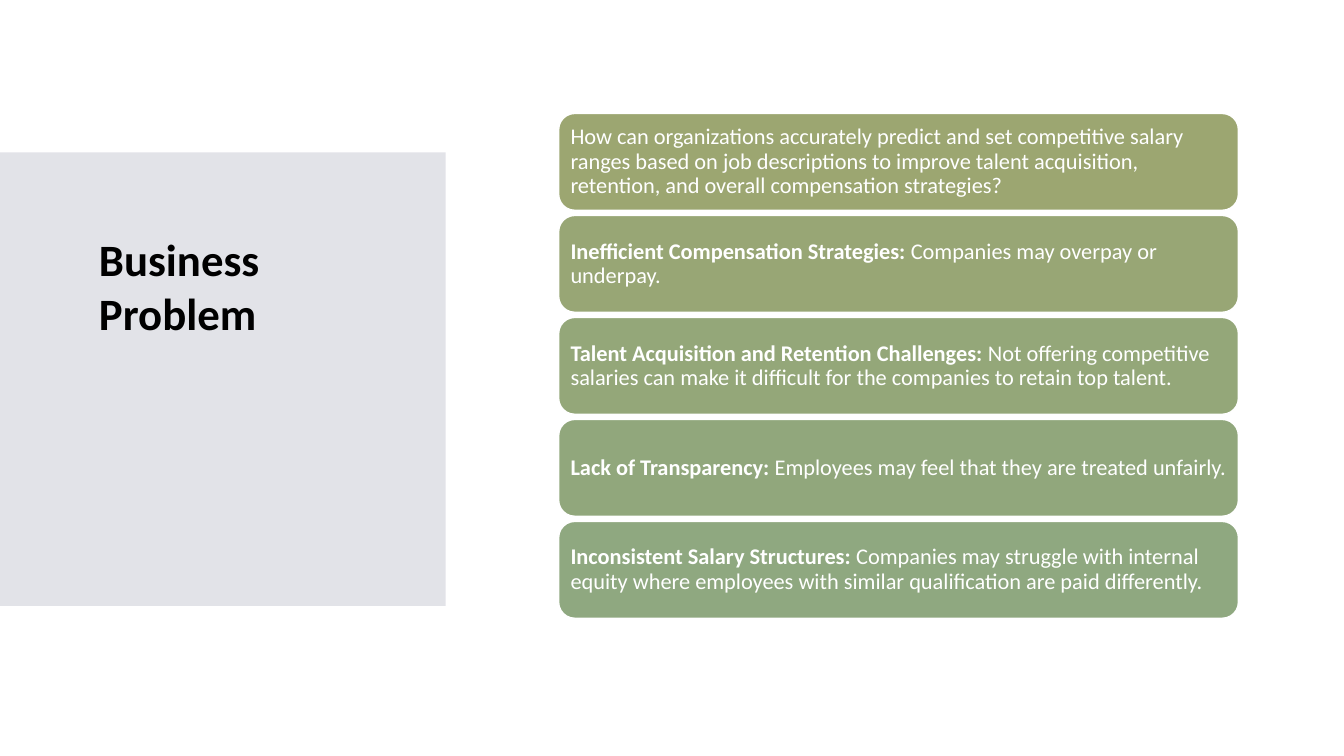
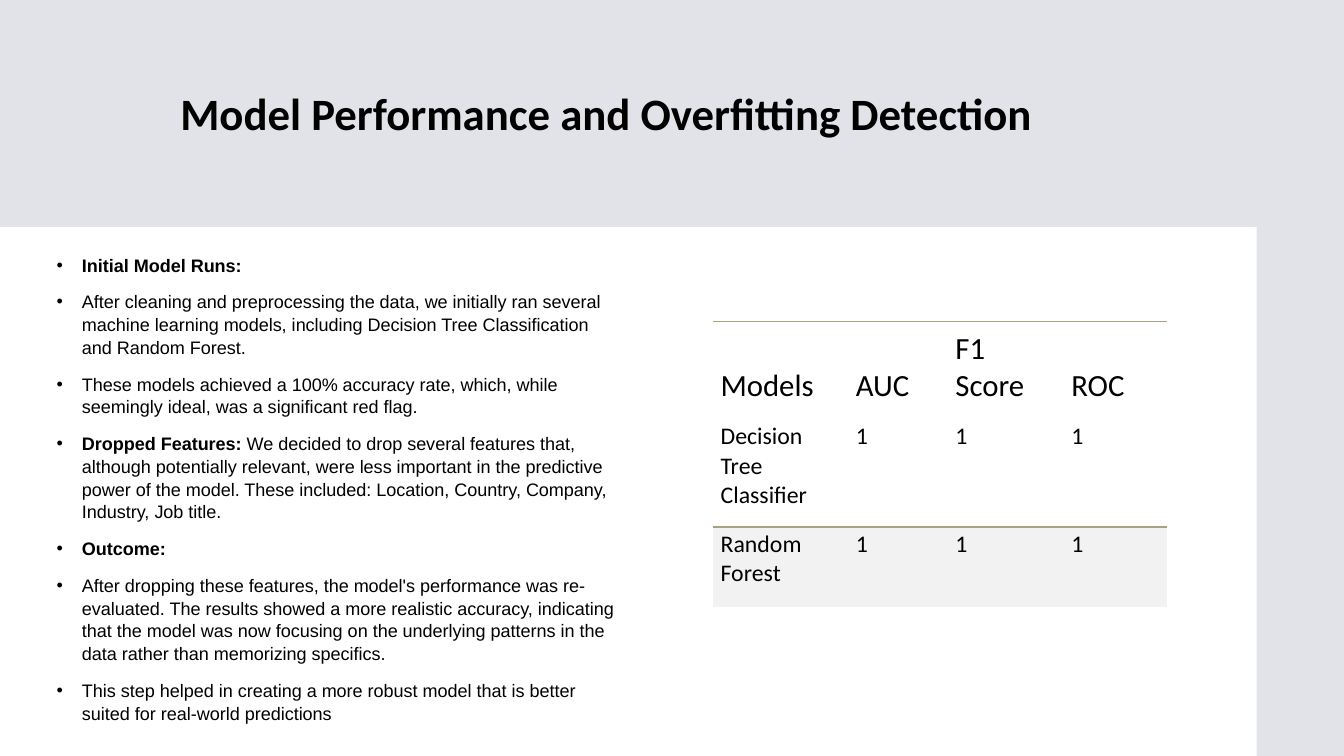
from lxml.etree import SubElement
from pptx import Presentation
from pptx.dml.color import RGBColor
from pptx.enum.shapes import MSO_SHAPE as Shape
from pptx.enum.text import MSO_ANCHOR as Anchor, MSO_AUTO_SIZE as AutoSize, PP_ALIGN as Align
from pptx.oxml.ns import qn
from pptx.util import Cm, Pt

BLACK, WHITE, BAND = "000000", "FFFFFF", "E2E3E8"
RULE, SHADE = "AAA180", "F2F2F2"
HEADING_FONT, BODY_FONT = "Calibri", "Arial"
SLIDE_WIDTH, SLIDE_HEIGHT = 33.87, 19.05
NO_TABLE_STYLE = "{2D5ABB26-0587-4C30-8999-92F81FD0307C}"

PROBLEMS = [
    ("9CA671", "", "How can organizations accurately predict and set competitive salary ranges "
     "based on job descriptions to improve talent acquisition, retention, and overall "
     "compensation strategies?"),
    ("98A675", "Inefficient Compensation Strategies:", " Companies may overpay or underpay."),
    ("94A779", "Talent Acquisition and Retention Challenges:",
     " Not offering competitive salaries can make it difficult for the companies to retain "
     "top talent."),
    ("91A77C", "Lack of Transparency: ", "Employees may feel that they are treated unfairly."),
    ("8FA880", "Inconsistent Salary Structures: ",
     "Companies may struggle with internal equity where employees with similar qualification "
     "are paid differently."),
]

FINDINGS = [
    ("Initial Model Runs:", ""),
    ("", "After cleaning and preprocessing the data, we initially ran several machine learning "
     "models, including Decision Tree Classification and Random Forest."),
    ("", "These models achieved a 100% accuracy rate, which, while seemingly ideal, was a "
     "significant red flag."),
    ("Dropped Features:", " We decided to drop several features that, although potentially "
     "relevant, were less important in the predictive power of the model. These included: "
     "Location, Country, Company, Industry, Job title."),
    ("Outcome:", ""),
    ("", "After dropping these features, the model's performance was re-evaluated. The results "
     "showed a more realistic accuracy, indicating that the model was now focusing on the "
     "underlying patterns in the data rather than memorizing specifics."),
    ("", "This step helped in creating a more robust model that is better suited for "
     "real-world predictions"),
]

SCORES = [
    ["Models", "AUC", "F1 Score", "ROC"],
    ["Decision Tree Classifier", "1", "1", "1"],
    ["Random Forest", "1", "1", "1"],
    ["", "", "", ""],
]
COLUMN_WIDTHS = [3.41, 2.51, 2.92, 2.58]
ROW_HEIGHTS = [2.46, 2.72, 2.01, 1.37]


def rgb(value):
    """Return the colour for a hex string."""
    return RGBColor.from_string(value)


def place(shape, left, top, width, height):
    """Move and size a shape, in centimetres."""
    shape.left, shape.top = Cm(left), Cm(top)
    shape.width, shape.height = Cm(width), Cm(height)


def style_font(font, name, size, color, bold=False):
    """Set the face, size, colour and weight of a font."""
    font.name, font.size, font.bold = name, Pt(size), bold
    font.color.rgb = rgb(color)


def write_lead(paragraph, lead, text, name, size, color):
    """Write a bold lead followed by regular text."""
    for content, bold in ((lead, True), (text, False)):
        if content:
            run = paragraph.add_run()
            run.text = content
            style_font(run.font, name, size, color, bold)


def set_title(slide, text, box, anchor):
    """Fill and format the title placeholder."""
    title = slide.shapes.title
    place(title, *box)
    frame = title.text_frame
    frame.text = text
    frame.auto_size, frame.vertical_anchor = AutoSize.NONE, anchor
    frame.paragraphs[0].alignment = Align.LEFT
    style_font(frame.paragraphs[0].runs[0].font, HEADING_FONT, 32, BLACK, True)


def add_filled(slide, kind, box, color):
    """Add a plain filled shape without outline or shadow."""
    shape = slide.shapes.add_shape(kind, *map(Cm, box))
    shape.shadow.inherit = False
    shape.fill.solid()
    shape.fill.fore_color.rgb = rgb(color)
    shape.line.fill.background()
    return shape


def add_band(slide, box, color):
    """Add a rectangle behind the placeholders."""
    band = add_filled(slide, Shape.RECTANGLE, box, color)
    slide.shapes.title.element.addprevious(band.element)


def add_card(slide, box, color, lead, text):
    """Add a rounded card with left-aligned white text."""
    card = add_filled(slide, Shape.ROUNDED_RECTANGLE, box, color)
    card.line.color.rgb, card.line.width = rgb(WHITE), Pt(1)
    frame = card.text_frame
    frame.word_wrap, frame.vertical_anchor = True, Anchor.MIDDLE
    frame.margin_left = frame.margin_top = frame.margin_bottom = Cm(0.18)
    frame.margin_right = Cm(0.1)
    paragraph = frame.paragraphs[0]
    paragraph.alignment, paragraph.line_spacing = Align.LEFT, 0.9
    write_lead(paragraph, lead, text, HEADING_FONT, 16, WHITE)


def fill_bullets(body, items, box):
    """Fill the body placeholder with bulleted paragraphs."""
    place(body, *box)
    frame = body.text_frame
    frame.auto_size = AutoSize.NONE
    for index, (lead, text) in enumerate(items):
        paragraph = frame.add_paragraph() if index else frame.paragraphs[0]
        paragraph.space_before, paragraph.line_spacing = Pt(10), 1.05
        properties = paragraph._p.get_or_add_pPr()
        properties.set("marL", str(Cm(0.64)))
        properties.set("indent", str(-Cm(0.64)))
        SubElement(properties, qn("a:buChar"), char="•")
        write_lead(paragraph, lead, text, BODY_FONT, 12.9, BLACK)


def add_border(cell, side, color):
    """Draw a one-point rule on one side of a cell."""
    properties = cell._tc.get_or_add_tcPr()
    line = SubElement(properties, qn(f"a:{side}"), w=str(Pt(1)))
    SubElement(SubElement(line, qn("a:solidFill")), qn("a:srgbClr"), val=color)
    properties.insert(0, line)


def fill_cell(cell, text, size, anchor, shade):
    """Write and format one table cell."""
    cell.margin_left = cell.margin_right = Cm(0.18)
    cell.margin_top, cell.margin_bottom = Cm(0.08), Cm(0.36)
    cell.vertical_anchor = anchor
    if shade:
        cell.fill.solid()
        cell.fill.fore_color.rgb = rgb(shade)
    else:
        cell.fill.background()
    cell.text_frame.text = text
    style_font(cell.text_frame.paragraphs[0].font, HEADING_FONT, size, BLACK)
    for run in cell.text_frame.paragraphs[0].runs:
        style_font(run.font, HEADING_FONT, size, BLACK)


def add_score_table(slide, left, top):
    """Add the ruled table of model scores."""
    frame = slide.shapes.add_table(len(SCORES), len(SCORES[0]), Cm(left), Cm(top),
                                   Cm(sum(COLUMN_WIDTHS)), Cm(sum(ROW_HEIGHTS)))
    table = frame.table
    table.first_row = table.horz_banding = False
    for style in frame.element.iter(qn("a:tableStyleId")):
        style.text = NO_TABLE_STYLE
    for column, width in zip(table.columns, COLUMN_WIDTHS):
        column.width = Cm(width)
    borders = {0: "lnT", 1: "lnB"}
    for index, (row, height, texts) in enumerate(zip(table.rows, ROW_HEIGHTS, SCORES)):
        row.height = Cm(height)
        size, anchor = (17, Anchor.TOP) if index else (22, Anchor.BOTTOM)
        for cell, text in zip(row.cells, texts):
            fill_cell(cell, text, size, anchor, SHADE if index == 2 else None)
            if index in borders:
                add_border(cell, borders[index], RULE)


def build_problem_slide(presentation):
    """Build the slide of business problems."""
    slide = presentation.slides.add_slide(presentation.slide_layouts[5])
    add_band(slide, (0, 3.84, 11.23, 11.43), BAND)
    set_title(slide, "Business Problem", (2.24, 5.72, 7.32, 7.37), Anchor.TOP)
    for index, (color, lead, text) in enumerate(PROBLEMS):
        add_card(slide, (14.08, 2.86 + 2.57 * index, 17.13, 2.44), color, lead, text)


def build_performance_slide(presentation):
    """Build the slide of model findings and scores."""
    slide = presentation.slides.add_slide(presentation.slide_layouts[1])
    add_band(slide, (0, 0, SLIDE_WIDTH, SLIDE_HEIGHT), BAND)
    add_band(slide, (0, 5.72, 31.67, SLIDE_HEIGHT - 5.72), WHITE)
    set_title(slide, "Model Performance and Overfitting Detection",
              (4.29, 1.27, 25.12, 3.15), Anchor.MIDDLE)
    fill_bullets(slide.placeholders[1], FINDINGS, (1.17, 6.25, 14.6, 12.24))
    add_score_table(slide, 17.98, 8.1)


def main():
    """Build and save the presentation."""
    presentation = Presentation()
    presentation.slide_width, presentation.slide_height = Cm(SLIDE_WIDTH), Cm(SLIDE_HEIGHT)
    build_problem_slide(presentation)
    build_performance_slide(presentation)
    presentation.save("out.pptx")


if __name__ == "__main__":
    main()
